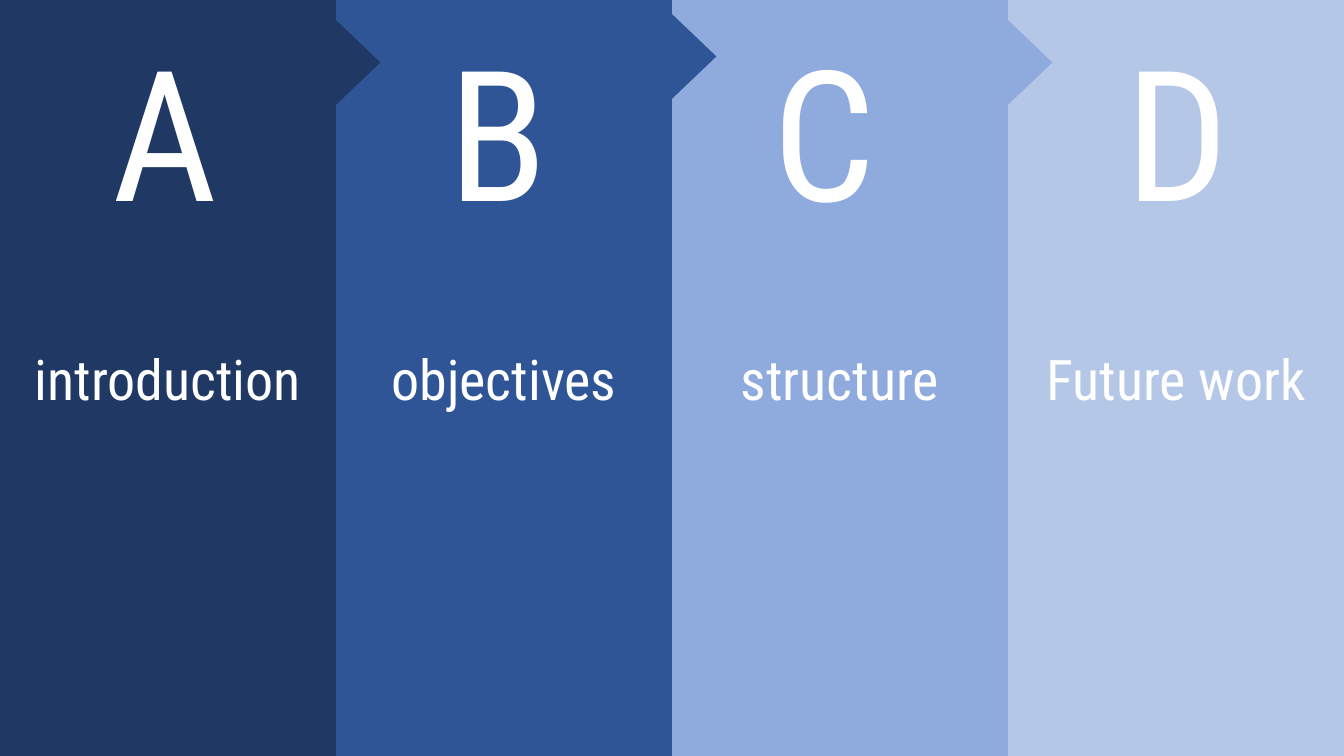
from dataclasses import dataclass

from pptx import Presentation
from pptx.dml.color import RGBColor
from pptx.enum.shapes import MSO_SHAPE as Preset
from pptx.enum.text import MSO_ANCHOR as Anchor, MSO_AUTO_SIZE as AutoSize, PP_ALIGN as Align
from pptx.shapes.autoshape import Shape
from pptx.shapes.shapetree import GroupShapes
from pptx.util import Inches, Pt

SLIDE_WIDTH, SLIDE_HEIGHT = 13.333, 7.5
FONT = "Roboto Condensed"
WHITE = "FFFFFF"
ARROW_BASE, ARROW_DEPTH = 0.84, 0.44


@dataclass(frozen=True)
class Panel:
    letter: str
    topic: str
    color: str
    letter_offset: float
    arrow_top: float | None = None


PANELS = [
    Panel("A", "introduction", "203864", 1.02, 0.2),
    Panel("B", "objectives", "2F5597", 1.02, 0.14),
    Panel("C", "structure", "8FAADC", 0.9, 0.2),
    Panel("D", "Future work", "B4C7E7", 1.07),
]
COLUMN_WIDTH = SLIDE_WIDTH / len(PANELS)


def rgb(color: str) -> RGBColor:
    return RGBColor.from_string(color)


def write(box: Shape, text: str, *, size: float, color: str = WHITE,
          align: Align = Align.LEFT, anchor: Anchor = Anchor.TOP) -> None:
    frame = box.text_frame
    frame.word_wrap = True
    frame.vertical_anchor = anchor
    para = frame.paragraphs[0]
    para.alignment = align
    span = para.add_run()
    span.text = text
    span.font.name = FONT
    span.font.size = Pt(size)
    span.font.color.rgb = rgb(color)


def add_filled(shapes: GroupShapes, preset: Preset, color: str, left: float, top: float,
               width: float, height: float) -> Shape:
    shape = shapes.add_shape(preset, Inches(left), Inches(top), Inches(width), Inches(height))
    shape.shadow.inherit = False
    shape.fill.solid()
    shape.fill.fore_color.rgb = rgb(color)
    shape.line.fill.background()
    return shape


def add_arrow(shapes: GroupShapes, color: str, edge: float, top: float) -> None:
    """Point a triangle right, with its base on the column edge and its visible top at top."""
    inset = (ARROW_BASE - ARROW_DEPTH) / 2
    arrow = add_filled(shapes, Preset.ISOSCELES_TRIANGLE, color,
                       edge - inset, top + inset, ARROW_BASE, ARROW_DEPTH)
    arrow.rotation = 90


def add_panel(shapes: GroupShapes, panel: Panel, column: int) -> None:
    left = column * COLUMN_WIDTH
    band = add_filled(shapes, Preset.RECTANGLE, panel.color, left, 0, COLUMN_WIDTH, SLIDE_HEIGHT)
    write(band, panel.topic, size=40, align=Align.CENTER, anchor=Anchor.MIDDLE)
    if panel.arrow_top is not None:
        add_arrow(shapes, panel.color, left + COLUMN_WIDTH, panel.arrow_top)
    box = shapes.add_textbox(Inches(left + panel.letter_offset), Inches(0.14),
                             Inches(1.49), Inches(2.29))
    write(box, panel.letter, size=130)
    box.text_frame.auto_size = AutoSize.SHAPE_TO_FIT_TEXT


def main() -> None:
    deck = Presentation()
    deck.slide_width, deck.slide_height = Inches(SLIDE_WIDTH), Inches(SLIDE_HEIGHT)
    page = deck.slides.add_slide(deck.slide_layouts.get_by_name("Blank"))
    # Right to left, so that each arrow lies over the next panel
    for column, panel in reversed(list(enumerate(PANELS))):
        add_panel(page.shapes.add_group_shape().shapes, panel, column)
    deck.save("out.pptx")


if __name__ == "__main__":
    main()
